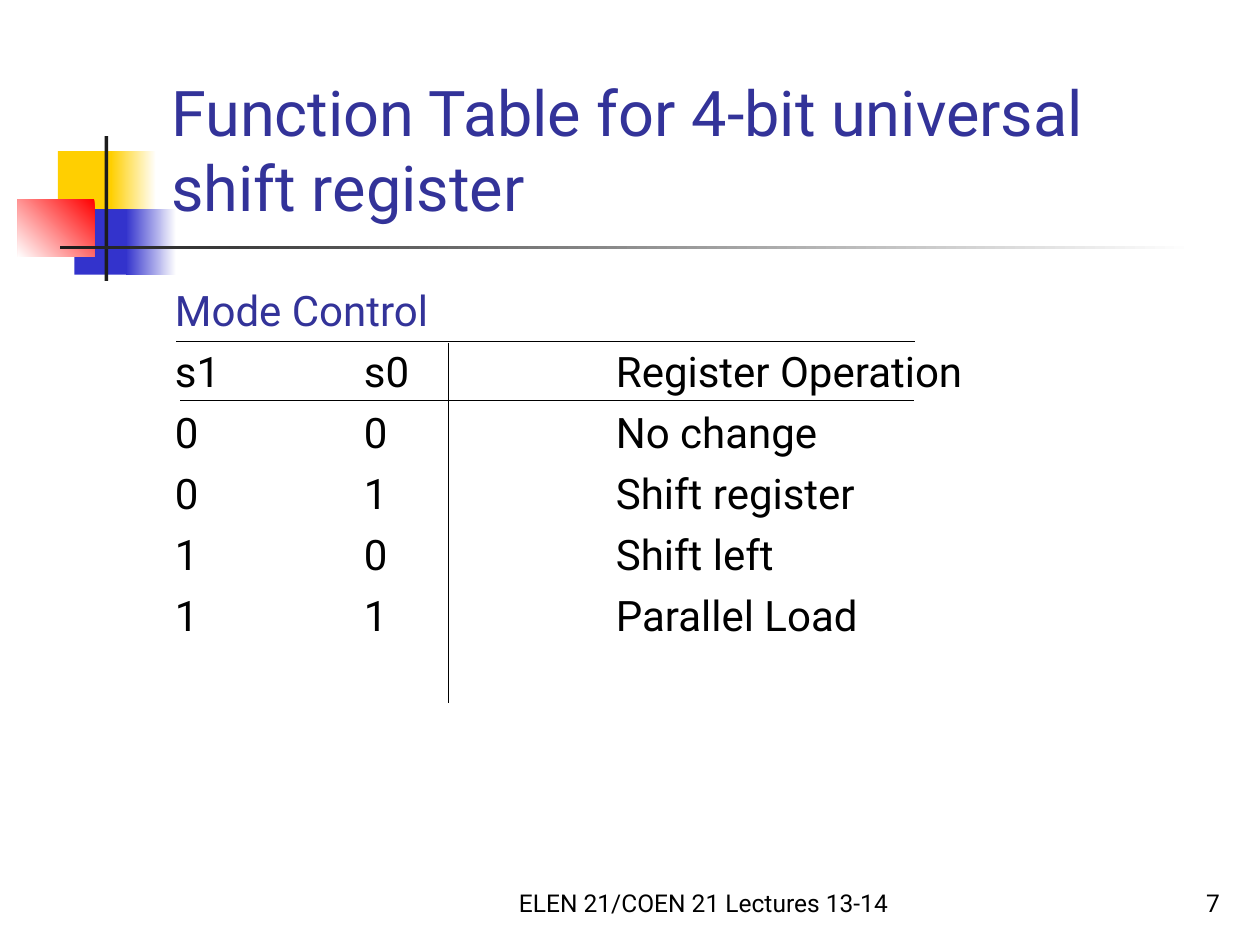
"""Build the function table slide for a 4-bit universal shift register."""
from dataclasses import dataclass
from typing import Optional

from lxml.etree import SubElement
from pptx import Presentation
from pptx.dml.color import RGBColor
from pptx.enum.shapes import MSO_CONNECTOR, MSO_SHAPE
from pptx.enum.text import MSO_ANCHOR as Anchor, MSO_AUTO_SIZE, PP_ALIGN as Align
from pptx.oxml.ns import qn
from pptx.util import Inches, Pt

FONT = "Roboto"
WHITE = RGBColor(0xFF, 0xFF, 0xFF)
BLACK = RGBColor(0x00, 0x00, 0x00)
CHARCOAL = RGBColor(0x1C, 0x1C, 0x1C)
YELLOW = RGBColor(0xFF, 0xCF, 0x01)
BLUE = RGBColor(0x33, 0x33, 0xCC)
RED = RGBColor(0xFF, 0x00, 0x00)
INDIGO = RGBColor(0x33, 0x33, 0x99)


@dataclass(frozen=True)
class Block:
    """A decorative rectangle, solid or fading between two colours."""
    left: float
    top: float
    width: float
    height: float
    color: RGBColor
    fade_to: Optional[RGBColor] = None
    angle: int = 180


@dataclass(frozen=True)
class Rule:
    """A thin straight line of the function table."""
    x1: float
    y1: float
    x2: float
    y2: float


BLOCKS = [
    Block(0.46, 1.2, 0.48, 0.52, YELLOW),
    Block(0.88, 1.2, 0.36, 0.52, WHITE, YELLOW),
    Block(0.59, 1.66, 0.46, 0.52, BLUE),
    Block(1, 1.66, 0.4, 0.52, WHITE, BLUE),
    Block(0.14, 1.58, 0.61, 0.46, RED, WHITE, 225),
    Block(0.83, 1.08, 0.03, 1.15, CHARCOAL),
    Block(0.48, 1.95, 9, 0.03, WHITE, CHARCOAL),
]
RULES = [
    Rule(1.4, 2.71, 7.26, 2.71),
    Rule(1.43, 3.18, 7.25, 3.18),
    Rule(3.56, 2.72, 3.56, 5.58),
]
TABLE_ROWS = [
    ("s1", "s0", "Register Operation"),
    ("0", "0", "No change"),
    ("0", "1", "Shift register"),
    ("1", "0", "Shift left"),
    ("1", "1", "Parallel Load"),
]
COLUMN_STOPS = (1.5, 3.5)


def add_block(page, block: Block) -> None:
    """Draw one decorative rectangle."""
    shape = page.shapes.add_shape(
        MSO_SHAPE.RECTANGLE, Inches(block.left), Inches(block.top),
        Inches(block.width), Inches(block.height))
    shape.shadow.inherit = False
    shape.line.fill.background()
    if block.fade_to is None:
        shape.fill.solid()
        shape.fill.fore_color.rgb = block.color
        return
    shape.fill.gradient()
    shape.fill.gradient_angle = block.angle
    for stop, color in zip(shape.fill.gradient_stops, (block.color, block.fade_to)):
        stop.color.rgb = color


def add_rule(page, rule: Rule) -> None:
    """Draw one table line."""
    line = page.shapes.add_connector(
        MSO_CONNECTOR.STRAIGHT, Inches(rule.x1), Inches(rule.y1),
        Inches(rule.x2), Inches(rule.y2))
    line.line.color.rgb = BLACK
    line.line.width = Pt(0.74)
    SubElement(line._element.spPr, qn("a:effectLst"))


def place(box, left: float, top: float, width: float, height: float, anchor: Anchor):
    """Position a text shape and return its prepared text frame."""
    box.left, box.top = Inches(left), Inches(top)
    box.width, box.height = Inches(width), Inches(height)
    frame = box.text_frame
    frame.word_wrap = True
    frame.auto_size = MSO_AUTO_SIZE.NONE
    frame.vertical_anchor = anchor
    return frame


def add_span(para, text: str, size: int, color: RGBColor, align: Align = Align.LEFT) -> None:
    """Append one formatted run to a paragraph."""
    para.alignment = align
    span = para.add_run()
    span.text = text
    span.font.name = FONT
    span.font.size = Pt(size)
    span.font.color.rgb = color


def add_label(page, text: str, left: float, width: float, align: Align) -> None:
    """Add one text box on the footer line."""
    box = page.shapes.add_textbox(0, 0, 0, 0)
    frame = place(box, left, 6.83, width, 0.5, Anchor.BOTTOM)
    add_span(frame.paragraphs[0], text, 14, BLACK, align)


def set_column_stops(para) -> None:
    """Give a paragraph the tab stops of the table columns."""
    stops = SubElement(para._p.get_or_add_pPr(), qn("a:tabLst"))
    for position in COLUMN_STOPS:
        SubElement(stops, qn("a:tab"), pos=str(Inches(position)), algn="l")


def add_function_table(page) -> None:
    """Write the heading and the tabbed rows."""
    box = page.shapes.add_textbox(0, 0, 0, 0)
    frame = place(box, 1.29, 2.21, 8.5, 4.5, Anchor.TOP)
    add_span(frame.paragraphs[0], "Mode Control", 24, INDIGO)
    for row in TABLE_ROWS:
        para = frame.add_paragraph()
        para.space_before = Pt(6)
        set_column_stops(para)
        add_span(para, "\t".join(row), 24, BLACK)


def main() -> None:
    """Assemble and save the deck."""
    deck = Presentation()
    deck.slide_width, deck.slide_height = Inches(10), Inches(7.5)
    page = deck.slides.add_slide(deck.slide_layouts[5])
    for block in BLOCKS:
        add_block(page, block)
    title = page.shapes.title
    page.shapes._spTree.append(title._element)
    frame = place(title, 1.26, 0.23, 8.52, 1.6, Anchor.BOTTOM)
    add_span(frame.paragraphs[0],
             "Function Table for 4-bit universal shift register", 36, INDIGO)
    add_function_table(page)
    for rule in RULES:
        add_rule(page, rule)
    add_label(page, "ELEN 21/COEN 21 Lectures 13-14", 4, 3.17, Align.CENTER)
    add_label(page, "7", 7.7, 2.08, Align.RIGHT)
    deck.save("out.pptx")


main()
